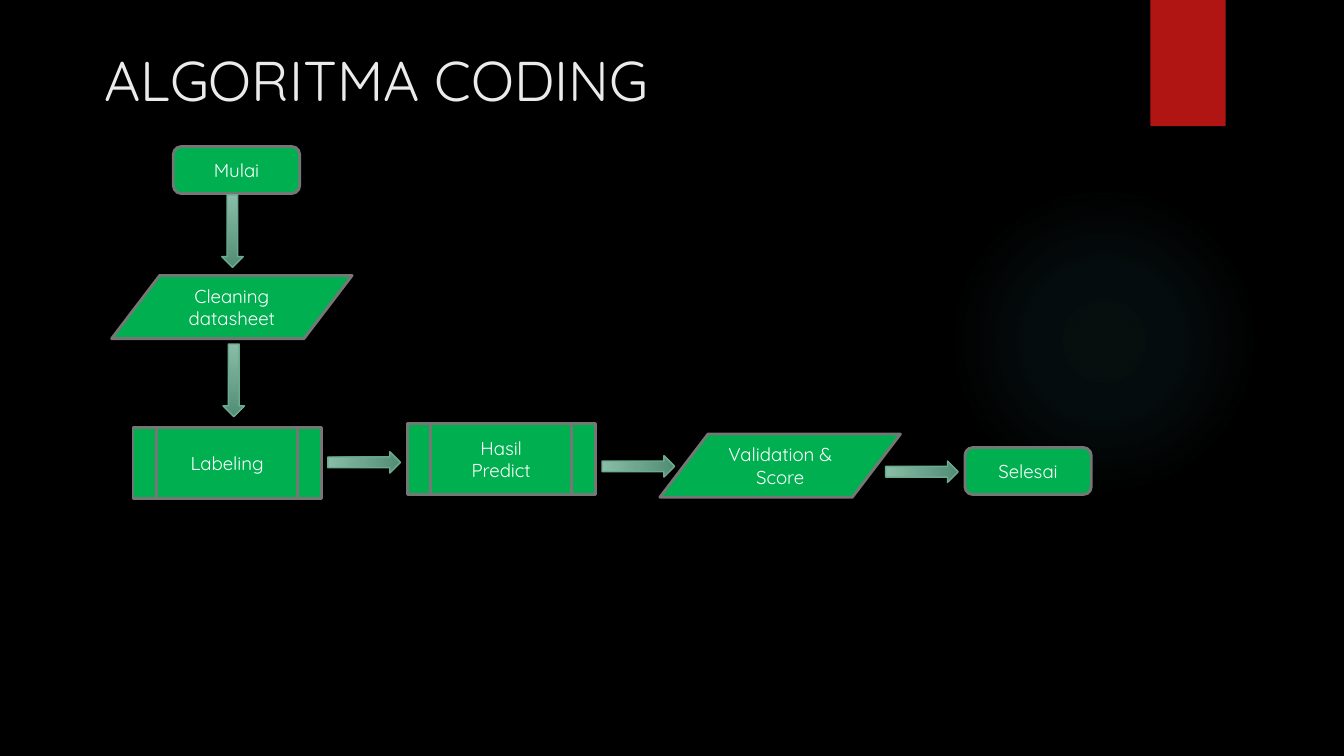
from dataclasses import dataclass

from lxml.etree import SubElement
from pptx import Presentation
from pptx.dml.color import RGBColor
from pptx.enum.shapes import MSO_SHAPE
from pptx.enum.text import MSO_ANCHOR, PP_ALIGN
from pptx.oxml.ns import qn
from pptx.util import Inches, Pt


@dataclass(frozen=True)
class Theme:
    font: str = "Quicksand"
    title_size: int = 30
    node_size: int = 10
    background: str = "000000"
    title: str = "EBEBEB"
    accent: str = "B01513"
    glow: str = "50B9C1"
    node: str = "00B050"
    node_line: str = "767676"
    node_text: str = "FFFFFF"
    arrow_start: str = "89BDA7"
    arrow_end: str = "538C74"
    arrow_line: str = "6AAC90"


THEME = Theme()
TERMINAL = (MSO_SHAPE.ROUNDED_RECTANGLE, 0.94, 0.35)
DATA = (MSO_SHAPE.FLOWCHART_DATA, 1.79, 0.47)
PROCESS = (MSO_SHAPE.FLOWCHART_PREDEFINED_PROCESS, 1.4, 0.53)
ARROW_SIZE = (0.16, 0.54)

NODES = [
    (TERMINAL, 1.29, 1.09, "Mulai"),
    (DATA, 0.83, 2.05, "Cleaning datasheet"),
    (PROCESS, 0.99, 3.18, "Labeling"),
    (PROCESS, 3.03, 3.15, "Hasil\nPredict"),
    (DATA, 4.91, 3.23, "Validation &\nScore"),
    (TERMINAL, 7.18, 3.33, "Selesai"),
]
ARROWS = [
    (1.65, 1.45, 0),
    (1.66, 2.56, 0),
    (2.63, 3.17, 270),
    (4.67, 3.2, 270),
    (6.78, 3.24, 270),
]


def rgb(color):
    return RGBColor.from_string(color)


def add_shape(s, kind, left, top, width, height):
    sp = s.shapes.add_shape(kind, *map(Inches, (left, top, width, height)))
    sp.shadow.inherit = False
    sp.line.fill.background()
    return sp


def set_line(sp, color, width):
    sp.line.color.rgb = rgb(color)
    sp.line.width = Pt(width)


def set_text(sp, text, size, color, align, anchor):
    tf = sp.text_frame
    tf.text = text
    tf.word_wrap = True
    tf.vertical_anchor = anchor
    for p in tf.paragraphs:
        p.alignment = align
        for r in p.runs:
            r.font.name = THEME.font
            r.font.size = Pt(size)
            r.font.color.rgb = rgb(color)


def add_glow(s):
    sp = add_shape(s, MSO_SHAPE.OVAL, 7.06, 1.38, 2.31, 2.31)
    sp.fill.gradient()
    grad = sp.element.spPr.find(qn("a:gradFill"))
    for child in list(grad):
        grad.remove(child)
    stops = SubElement(grad, qn("a:gsLst"))
    for position, alpha in ((0, 7), (36, 6), (69, 0)):
        stop = SubElement(stops, qn("a:gs"), pos=str(position * 1000))
        color = SubElement(stop, qn("a:srgbClr"), val=THEME.glow)
        SubElement(color, qn("a:alpha"), val=str(alpha * 1000))
    circle = SubElement(grad, qn("a:path"), path="circle")
    SubElement(circle, qn("a:fillToRect"), l="50000", t="50000", r="50000", b="50000")


def add_ribbon(s):
    sp = add_shape(s, MSO_SHAPE.RECTANGLE, 8.56, 0, 0.56, 0.94)
    sp.fill.solid()
    sp.fill.fore_color.rgb = rgb(THEME.accent)


def add_title(s, text):
    sp = s.shapes.add_textbox(Inches(0.68), Inches(0.31), Inches(5.05), Inches(0.63))
    set_text(sp, text, THEME.title_size, THEME.title, PP_ALIGN.LEFT, MSO_ANCHOR.BOTTOM)
    tf = sp.text_frame
    tf.margin_left = tf.margin_right = tf.margin_top = tf.margin_bottom = Inches(0.1)


def add_node(s, style, left, top, text):
    kind, width, height = style
    sp = add_shape(s, kind, left, top, width, height)
    sp.fill.solid()
    sp.fill.fore_color.rgb = rgb(THEME.node)
    set_line(sp, THEME.node_line, 1.5)
    set_text(sp, text, THEME.node_size, THEME.node_text, PP_ALIGN.CENTER, MSO_ANCHOR.MIDDLE)


def add_arrow(s, left, top, rotation):
    sp = add_shape(s, MSO_SHAPE.DOWN_ARROW, left, top, *ARROW_SIZE)
    sp.rotation = rotation
    sp.fill.gradient()
    sp.fill.gradient_angle = 270
    for stop, color in zip(sp.fill.gradient_stops, (THEME.arrow_start, THEME.arrow_end)):
        stop.color.rgb = rgb(color)
    set_line(sp, THEME.arrow_line, 0.75)


def main():
    prs = Presentation()
    prs.slide_width = Inches(10)
    prs.slide_height = Inches(10 * 9 / 16)
    s = prs.slides.add_slide(prs.slide_layouts[6])
    s.background.fill.solid()
    s.background.fill.fore_color.rgb = rgb(THEME.background)
    add_glow(s)
    add_ribbon(s)
    add_title(s, "ALGORITMA CODING")
    for node in NODES:
        add_node(s, *node)
    for arrow in ARROWS:
        add_arrow(s, *arrow)
    prs.save("out.pptx")


if __name__ == "__main__":
    main()
